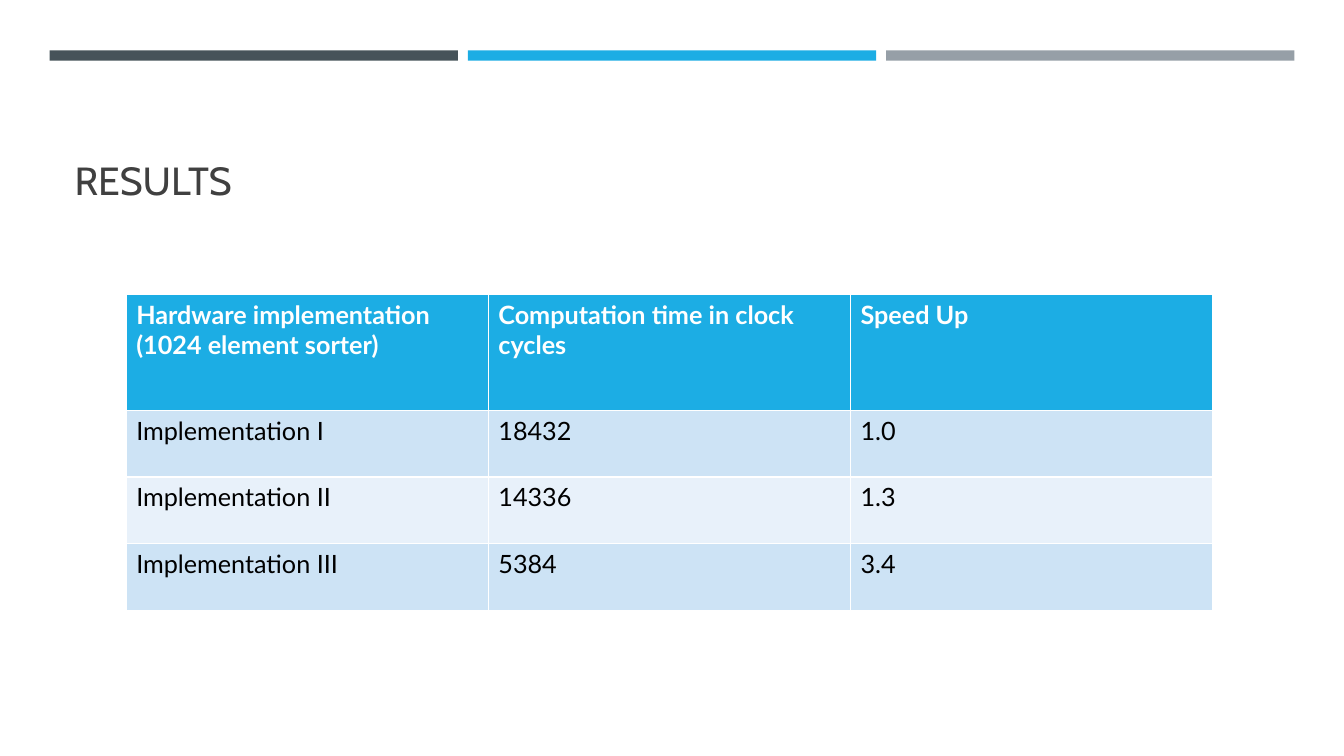
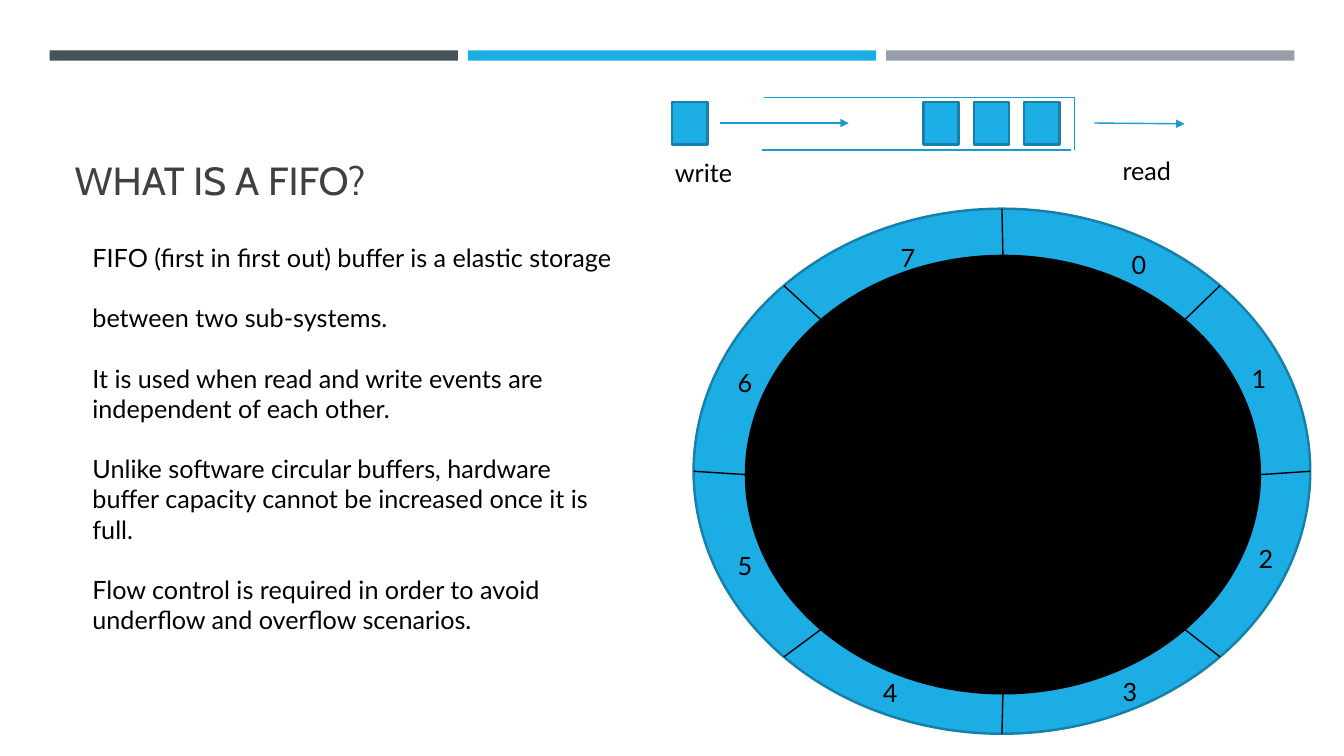
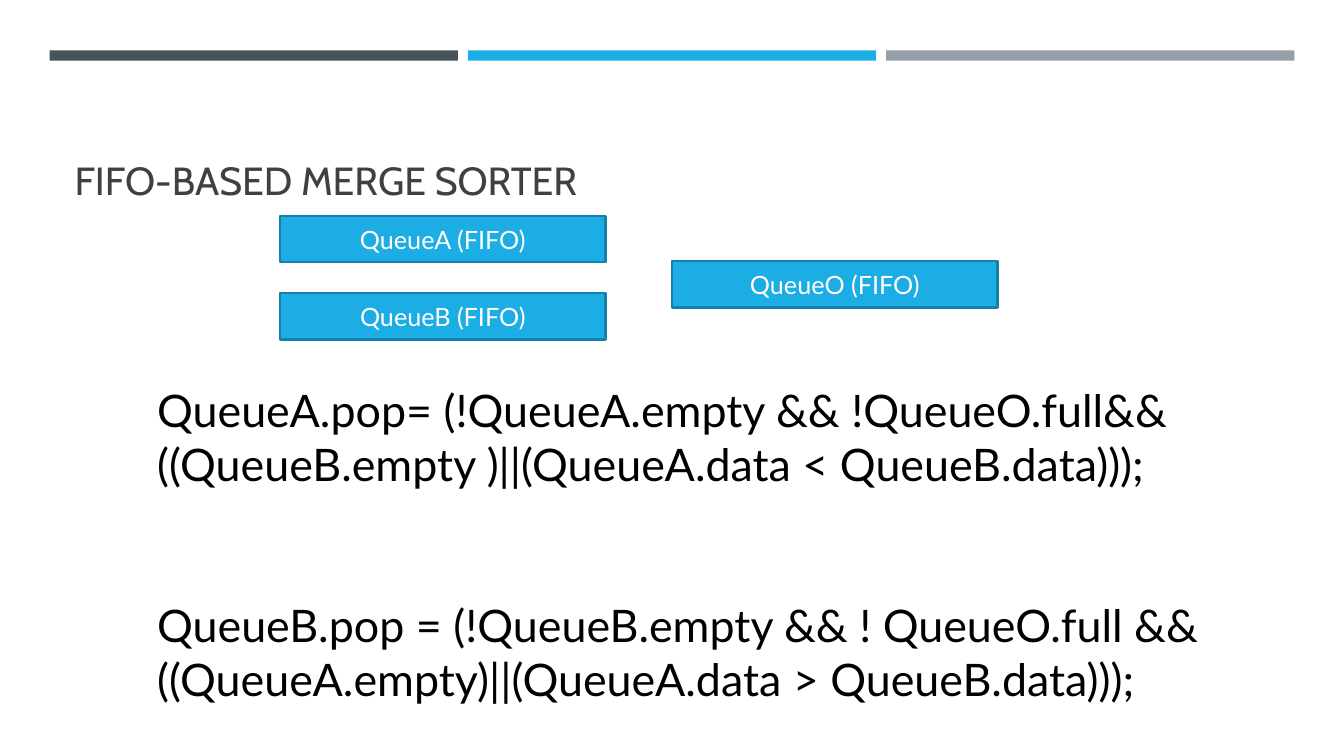
from dataclasses import dataclass
from math import cos, pi, sin

from lxml.etree import SubElement
from pptx import Presentation
from pptx.dml.color import RGBColor
from pptx.enum.shapes import MSO_CONNECTOR, MSO_SHAPE
from pptx.enum.text import MSO_ANCHOR, PP_ALIGN
from pptx.oxml.ns import qn
from pptx.util import Cm, Pt


@dataclass(frozen=True)
class Theme:
    heading_font: str = "Cabin"
    body_font: str = "Lato"
    title_size: float = 28
    body_size: float = 18
    code_size: float = 32
    line_pitch: float = 1.2
    outline: float = 1.75
    thin: float = 1
    title: str = "404040"
    black: str = "000000"
    white: str = "FFFFFF"
    blue: str = "1CADE4"
    edge: str = "1580A9"
    wire: str = "189CCE"
    slate: str = "465359"
    grey: str = "969FA7"
    row_dark: str = "CDE3F5"
    row_light: str = "E8F1FA"


T = Theme()

# All places and sizes are in centimetres.
RESULTS = [
    ("Hardware implementation (1024 element sorter)",
     "Computation time in clock cycles", "Speed Up"),
    ("Implementation I", "18432", "1.0"),
    ("Implementation II", "14336", "1.3"),
    ("Implementation III", "5384", "3.4"),
]
FIFO_NOTES = [
    "FIFO (first in first out) buffer is a elastic storage",
    "between two sub-systems.",
    "It is used when read and write events are independent of each other.",
    "Unlike software circular buffers, hardware buffer capacity cannot be "
    "increased once it is full.",
    "Flow control is required in order to avoid underflow and overflow scenarios.",
]
RING_OUTER = (17.48, 5.26, 15.54, 13.23)
RING_INNER = (18.8, 6.45, 12.95, 11.02)
SECTORS = 8
SECTOR_LABELS = [  # left and top of the labels 0 to 7
    (28.27, 6.17), (31.29, 9.02), (31.47, 13.56), (28.04, 16.92),
    (22.0, 16.94), (18.34, 13.74), (18.34, 9.14), (22.45, 5.97),
]
QUEUE_WALLS = [
    (19.25, 2.46, 27.08, 2.46), (19.2, 3.78, 27, 3.78), (27.08, 2.46, 27.08, 3.78),
]
QUEUE_ARROWS = [(18.14, 3.1, 21.39, 3.1), (27.58, 3.1, 29.85, 3.12)]
INCOMING_X, FIRST_QUEUED_X, QUEUED_STEP, QUEUED = 16.94, 23.27, 1.27, 3
QUEUE_LABELS = [("read", 28.04, 3.78), ("write", 16.76, 3.84)]
SORTER_QUEUES = [
    ("QueueA (FIFO)", 7.06, 5.44),
    ("QueueB (FIFO)", 7.06, 7.39),
    ("QueueO (FIFO)", 16.94, 6.58),
]
POP_RULES = [
    "QueueA.pop= (!QueueA.empty && !QueueO.full&& "
    "((QueueB.empty )||(QueueA.data < QueueB.data)));",
    "QueueB.pop = (!QueueB.empty && ! QueueO.full && "
    "((QueueA.empty)||(QueueA.data > QueueB.data)));",
]


def rgb(value):
    return RGBColor.from_string(value)


def style(p, size=T.body_size, color=T.black, font=T.body_font, bold=False):
    p.font.name, p.font.size, p.font.bold = font, Pt(size), bold
    p.font.color.rgb = rgb(color)


def add_text(s, lines, box, blank_lines=0, anchor=MSO_ANCHOR.TOP, size=T.body_size, **font):
    """Add one paragraph per line, spaced by a number of line heights."""
    tf = s.shapes.add_textbox(*map(Cm, box)).text_frame
    tf.word_wrap = True
    tf.vertical_anchor = anchor
    for i, line in enumerate(lines):
        p = tf.paragraphs[0] if i == 0 else tf.add_paragraph()
        p.text = line
        style(p, size, **font)
        if i:
            p.space_before = Pt(blank_lines * size * T.line_pitch)


def add_block(s, box, kind=MSO_SHAPE.RECTANGLE, fill=T.blue, edge=T.edge, text=None):
    sp = s.shapes.add_shape(kind, *map(Cm, box))
    sp.shadow.inherit = False
    sp.fill.solid()
    sp.fill.fore_color.rgb = rgb(fill)
    if edge:
        sp.line.color.rgb = rgb(edge)
        sp.line.width = Pt(T.outline)
    else:
        sp.line.fill.background()
    if text:
        sp.text_frame.vertical_anchor = MSO_ANCHOR.MIDDLE
        p = sp.text_frame.paragraphs[0]
        p.text = text
        p.alignment = PP_ALIGN.CENTER
        style(p, color=T.white)


def add_line(s, ends, color, arrow=False):
    line = s.shapes.add_connector(MSO_CONNECTOR.STRAIGHT, *map(Cm, ends))
    line.line.color.rgb = rgb(color)
    line.line.width = Pt(T.thin)
    if arrow:
        SubElement(line.line._get_or_add_ln(), qn("a:tailEnd"), type="triangle")
    SubElement(line._element.spPr, qn("a:effectLst"))


def add_slide(prs, title):
    """Add a blank slide with the three bands and the title."""
    s = prs.slides.add_slide(prs.slide_layouts[6])
    for i, color in enumerate((T.slate, T.blue, T.grey)):
        add_block(s, (1.25 + i * 10.54, 1.27, 10.29, 0.26), fill=color, edge=None)
    add_text(s, [title], (1.63, 1.96, 30.63, 3.3), anchor=MSO_ANCHOR.BOTTOM,
             size=T.title_size, color=T.title, font=T.heading_font)
    return s


def ring_point(box, angle):
    left, top, width, height = box
    return (left + width / 2 * (1 + sin(angle)), top + height / 2 * (1 - cos(angle)))


def results_slide(prs):
    s = add_slide(prs, "RESULTS")
    rows, cols = len(RESULTS), len(RESULTS[0])
    table = s.shapes.add_table(rows, cols, Cm(3.18), Cm(7.42), Cm(27.38), Cm(7.98)).table
    for r, values in enumerate(RESULTS):
        header = r == 0
        table.rows[r].height = Cm(2.92 if header else 1.68)
        fill = T.blue if header else (T.row_light, T.row_dark)[r % 2]
        for c, value in enumerate(values):
            cell = table.cell(r, c)
            cell.fill.solid()
            cell.fill.fore_color.rgb = rgb(fill)
            cell.text = value
            style(cell.text_frame.paragraphs[0],
                  color=T.white if header else T.black, bold=header)


def fifo_slide(prs):
    s = add_slide(prs, "WHAT IS A FIFO?")
    add_block(s, RING_OUTER, MSO_SHAPE.OVAL)
    add_block(s, RING_INNER, MSO_SHAPE.OVAL, T.black, T.black)
    for i, (left, top) in enumerate(SECTOR_LABELS):
        angle = 2 * pi * i / SECTORS
        add_line(s, ring_point(RING_INNER, angle) + ring_point(RING_OUTER, angle), T.black)
        add_text(s, [str(i)], (left, top, 0.91, 1.02))
    add_text(s, FIFO_NOTES, (2.08, 5.97, 13.65, 8.71), blank_lines=1)

    for wall in QUEUE_WALLS:
        add_line(s, wall, T.wire)
    queued = [FIRST_QUEUED_X + i * QUEUED_STEP for i in range(QUEUED)]
    for left in [INCOMING_X] + queued:
        add_block(s, (left, 2.57, 0.89, 1.07))
    for arrow in QUEUE_ARROWS:
        add_line(s, arrow, T.wire, arrow=True)
    for label, left, top in QUEUE_LABELS:
        add_text(s, [label], (left, top, 3, 1.02))


def sorter_slide(prs):
    s = add_slide(prs, "FIFO-BASED MERGE SORTER")
    for name, left, top in SORTER_QUEUES:
        add_block(s, (left, top, 8.2, 1.17), text=name)
    add_text(s, POP_RULES, (3.71, 9.53, 27.91, 8.46), blank_lines=2, size=T.code_size)


def main():
    prs = Presentation()
    prs.slide_width, prs.slide_height = Cm(33.87), Cm(19.05)
    results_slide(prs)
    fifo_slide(prs)
    sorter_slide(prs)
    prs.save("out.pptx")


if __name__ == "__main__":
    main()
